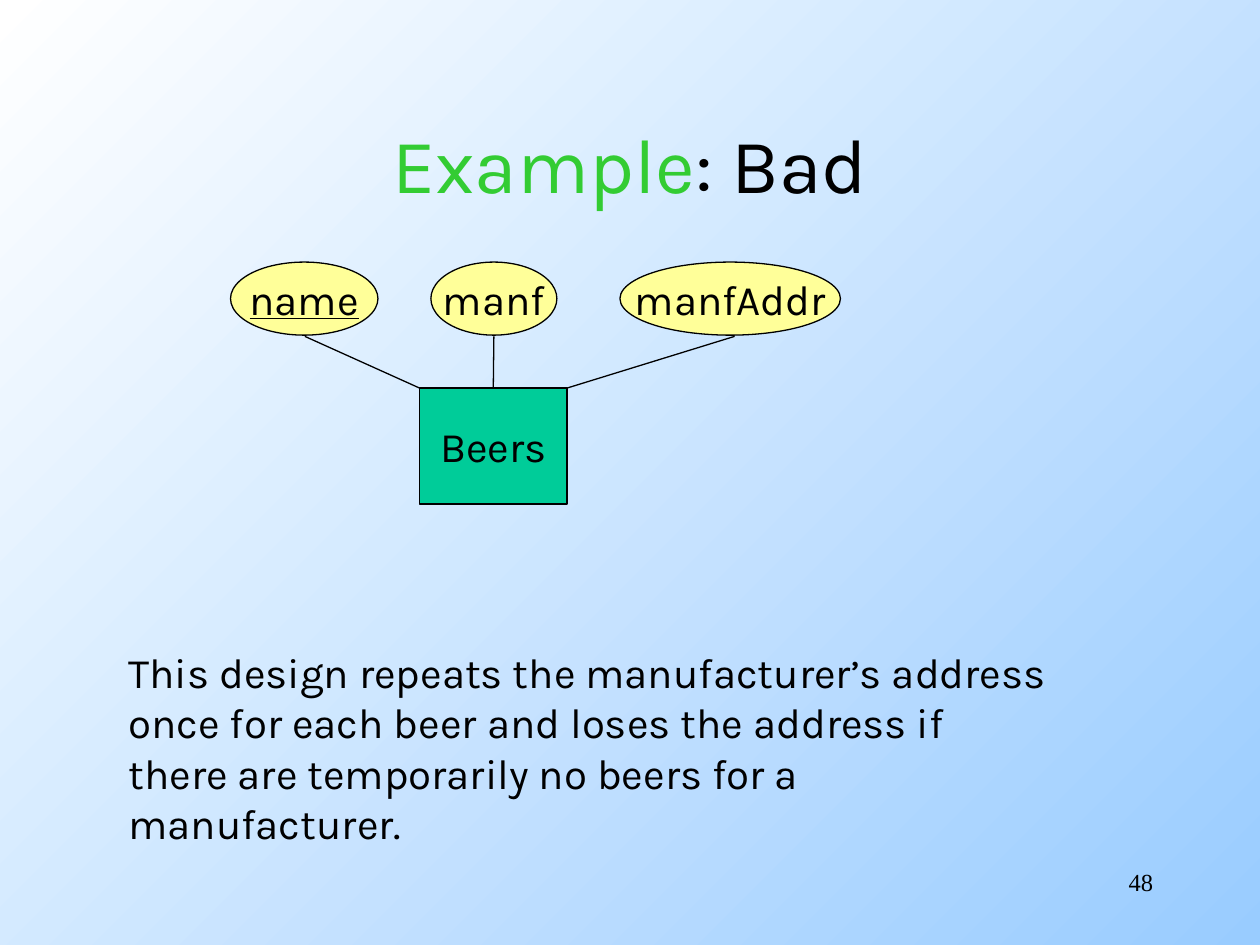
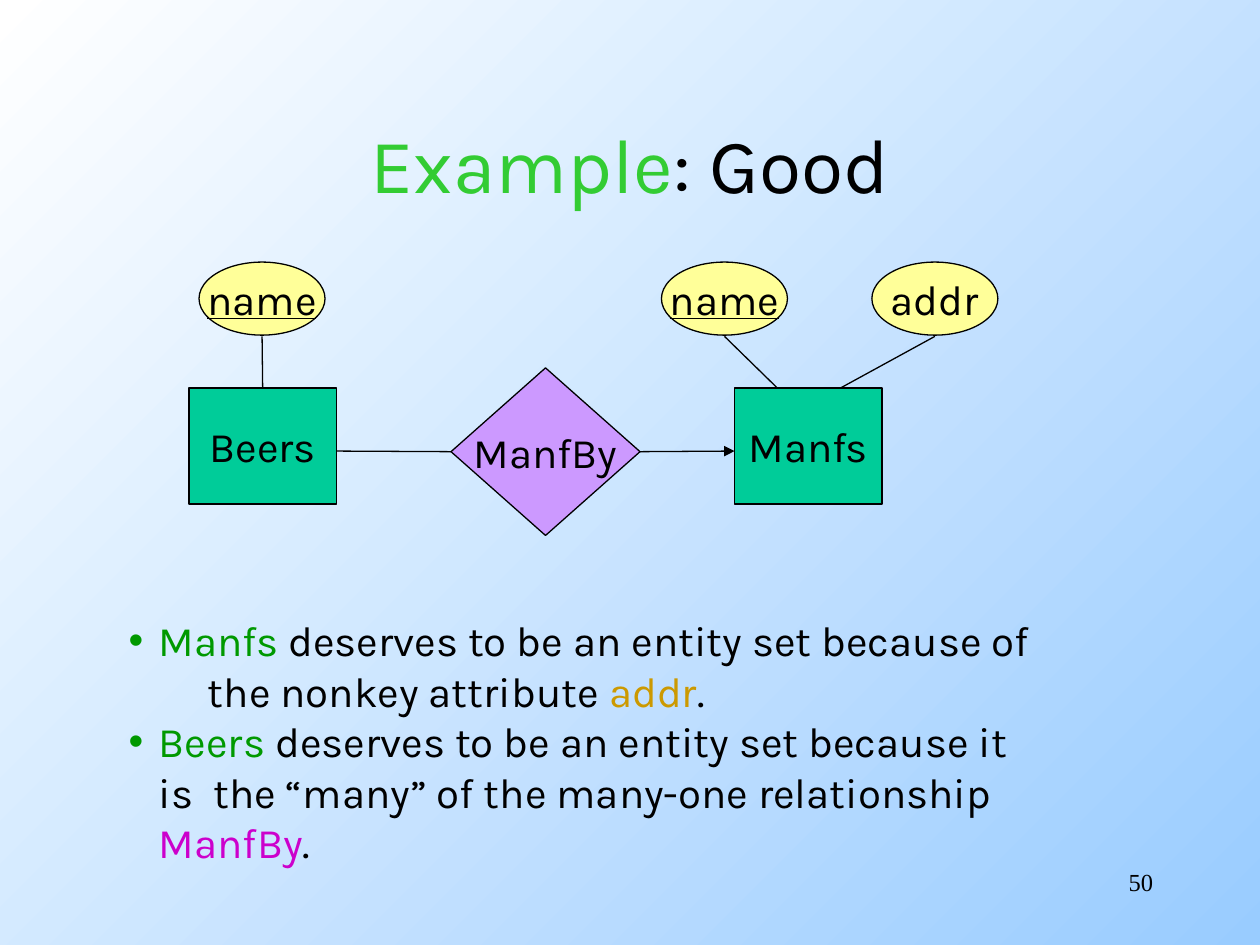
from lxml import etree
from pptx import Presentation
from pptx.dml.color import RGBColor
from pptx.enum.shapes import MSO_CONNECTOR, MSO_SHAPE
from pptx.enum.text import MSO_ANCHOR, MSO_AUTO_SIZE, PP_ALIGN
from pptx.oxml.ns import qn
from pptx.util import Inches, Pt

RECTANGLE = MSO_SHAPE.RECTANGLE
ELLIPSE = MSO_SHAPE.OVAL
DIAMOND = MSO_SHAPE.DIAMOND
STRAIGHT = MSO_CONNECTOR.STRAIGHT
MIDDLE = MSO_ANCHOR.MIDDLE
TOP_ANCHOR = MSO_ANCHOR.TOP
NO_AUTO_SIZE = MSO_AUTO_SIZE.NONE
CENTER, LEFT, RIGHT = PP_ALIGN.CENTER, PP_ALIGN.LEFT, PP_ALIGN.RIGHT

BLACK = RGBColor(0x00, 0x00, 0x00)
WHITE = RGBColor(0xFF, 0xFF, 0xFF)
SKY = RGBColor(0x99, 0xCC, 0xFF)
TITLE_GREEN = RGBColor(0x33, 0xCC, 0x33)
ENTITY_GREEN = RGBColor(0x00, 0xCC, 0x99)
ATTRIBUTE_YELLOW = RGBColor(0xFF, 0xFF, 0x99)
RELATIONSHIP_PURPLE = RGBColor(0xCC, 0x99, 0xFF)
ENTITY_WORD = RGBColor(0x00, 0x99, 0x00)
ATTRIBUTE_WORD = RGBColor(0xCC, 0x99, 0x00)
RELATIONSHIP_WORD = RGBColor(0xCC, 0x00, 0xCC)

FONT = "Karla"
NUMBER_FONT = "Times New Roman"
TITLE_AND_CONTENT, TITLE_ONLY = 1, 5
TOP_SIDE, LEFT_SIDE, RIGHT_SIDE = 0, 1, 3

ATTRIBUTE_TOP, ATTRIBUTE_HEIGHT, ATTRIBUTE_BOTTOM = 2.08, 0.58, 2.67
ENTITY_TOP, ENTITY_WIDTH, ENTITY_HEIGHT = 3.08, 1.17, 0.92
RELATIONSHIP_Y = 3.58
TEXT_LEFT, TEXT_WIDTH = 0.92, 7.52
BULLET_INDENT, CONTINUATION_TAB = 0.24, 0.63


def box(*lengths):
    return [Inches(length) for length in lengths]


class Deck:
    def __init__(self):
        self.presentation = Presentation()
        self.presentation.slide_width = Inches(10)
        self.presentation.slide_height = Inches(7.5)
        self.slide = None
        fill = self.presentation.slide_master.background.fill
        fill.gradient()
        fill.gradient_angle = 315
        for stop, color in zip(fill.gradient_stops, (WHITE, SKY)):
            stop.color.rgb = color

    def start_slide(self, layout, verdict, number):
        layouts = self.presentation.slide_layouts
        self.slide = self.presentation.slides.add_slide(layouts[layout])
        self.text(str(number), (7.17, 6.83, 2.08, 0.5), NUMBER_FONT, 14, RIGHT)
        title = self.slide.shapes.title
        self.place(title, 0.75, 0.67, 8.5, 1.25)
        title.text_frame.vertical_anchor = MIDDLE
        title.text_frame.auto_size = NO_AUTO_SIZE
        paragraph = title.text_frame.paragraphs[0]
        paragraph.alignment = CENTER
        self.style(paragraph, size=44)
        self.runs(paragraph, [("Example", TITLE_GREEN), (f": {verdict}", BLACK)])

    def place(self, shape, *lengths):
        shape.left, shape.top, shape.width, shape.height = box(*lengths)

    def style(self, paragraph, name=FONT, size=24, color=None):
        paragraph.font.name = name
        paragraph.font.size = Pt(size)
        if color is not None:
            paragraph.font.color.rgb = color

    def runs(self, paragraph, pieces):
        for text, color in pieces:
            for index, part in enumerate(text.split("\n")):
                if index:
                    paragraph.add_line_break()
                run = paragraph.add_run()
                run.text = part
                run.font.color.rgb = color

    def text(self, text, place, name=FONT, size=24, alignment=LEFT):
        frame = self.slide.shapes.add_textbox(*box(*place)).text_frame
        frame.word_wrap = True
        paragraph = frame.paragraphs[0]
        paragraph.text = text
        paragraph.alignment = alignment
        self.style(paragraph, name, size, BLACK)

    def bullets(self, items, *place):
        body = self.slide.placeholders[1]
        self.place(body, *place)
        frame = body.text_frame
        frame.auto_size = NO_AUTO_SIZE
        frame.vertical_anchor = TOP_ANCHOR
        for index, pieces in enumerate(items):
            paragraph = frame.add_paragraph() if index else frame.paragraphs[0]
            paragraph.space_before = Pt(0)
            properties = paragraph._p.get_or_add_pPr()
            properties.set("marL", str(Inches(BULLET_INDENT)))
            properties.set("indent", str(-Inches(BULLET_INDENT)))
            bullet_color = etree.SubElement(properties, qn("a:buClr"))
            etree.SubElement(bullet_color, qn("a:srgbClr"), val=str(pieces[0][1]))
            etree.SubElement(properties, qn("a:buChar"), char="•")
            tabs = etree.SubElement(properties, qn("a:tabLst"))
            etree.SubElement(tabs, qn("a:tab"), pos=str(Inches(CONTINUATION_TAB)), algn="l")
            self.style(paragraph)
            self.runs(paragraph, pieces)

    def node(self, kind, label, fill, *place, underline=False):
        shape = self.slide.shapes.add_shape(kind, *box(*place))
        shape.shadow.inherit = False
        shape.fill.solid()
        shape.fill.fore_color.rgb = fill
        shape.line.color.rgb = BLACK
        shape.line.width = Pt(0.75)
        frame = shape.text_frame
        frame.word_wrap = False
        frame.vertical_anchor = MIDDLE
        paragraph = frame.paragraphs[0]
        paragraph.text = label
        paragraph.alignment = CENTER
        self.style(paragraph, color=BLACK)
        if underline:
            paragraph.font.underline = True
        return shape

    def entity(self, label, left):
        return self.node(RECTANGLE, label, ENTITY_GREEN,
                         left, ENTITY_TOP, ENTITY_WIDTH, ENTITY_HEIGHT)

    def attribute(self, label, left, width=1, key=False):
        return self.node(ELLIPSE, label, ATTRIBUTE_YELLOW,
                         left, ATTRIBUTE_TOP, width, ATTRIBUTE_HEIGHT, underline=key)

    def line(self, *ends, begin=None, end=None, arrow=False):
        connector = self.slide.shapes.add_connector(STRAIGHT, *box(*ends))
        if begin:
            connector.begin_connect(*begin)
        if end:
            connector.end_connect(*end)
        connector.line.color.rgb = BLACK
        connector.line.width = Pt(0.75)
        properties = connector.element.spPr
        if arrow:
            etree.SubElement(properties.find(qn("a:ln")), qn("a:tailEnd"), type="triangle")
        etree.SubElement(properties, qn("a:effectLst"))

    def attribute_line(self, attribute_x, entity_x, end=None):
        self.line(attribute_x, ATTRIBUTE_BOTTOM, entity_x, ENTITY_TOP, end=end)


def build_bad_design(deck):
    deck.start_slide(TITLE_ONLY, "Bad", 48)
    beers = deck.entity("Beers", 3.33)
    deck.attribute("name", 1.83, 1.17, key=True)
    deck.attribute("manf", 3.42)
    deck.attribute("manfAddr", 4.92, 1.75)
    deck.attribute_line(2.42, 3.33)
    deck.attribute_line(3.92, 3.92, end=(beers, TOP_SIDE))
    deck.attribute_line(5.83, 4.5)
    deck.text("This design repeats the manufacturer’s address once for each beer "
              "and loses the address if there are temporarily no beers for a "
              "manufacturer.", (TEXT_LEFT, 5.08, TEXT_WIDTH, 1.7))


def build_good_design(deck):
    deck.start_slide(TITLE_AND_CONTENT, "Good", 50)
    beers = deck.entity("Beers", 1.5)
    deck.entity("Manfs", 5.83)
    manufactured_by = deck.node(DIAMOND, "ManfBy", RELATIONSHIP_PURPLE, 3.58, 2.92, 1.5, 1.33)
    deck.attribute("name", 1.58, key=True)
    deck.attribute("name", 5.25, key=True)
    deck.attribute("addr", 6.92)
    deck.attribute_line(2.08, 2.08, end=(beers, TOP_SIDE))
    deck.attribute_line(5.75, 6.17)
    deck.attribute_line(7.42, 6.67)
    deck.line(3.58, RELATIONSHIP_Y, 2.67, RELATIONSHIP_Y, begin=(manufactured_by, LEFT_SIDE))
    deck.line(5.08, RELATIONSHIP_Y, 5.83, RELATIONSHIP_Y,
              begin=(manufactured_by, RIGHT_SIDE), arrow=True)
    deck.bullets([
        [("Manfs", ENTITY_WORD),
         (" deserves to be an entity set because of\n\tthe nonkey attribute ", BLACK),
         ("addr", ATTRIBUTE_WORD), (".", BLACK)],
        [("Beers", ENTITY_WORD),
         (" deserves to be an entity set because it is  the “many” of the "
          "many-one relationship ", BLACK),
         ("ManfBy", RELATIONSHIP_WORD), (".", BLACK)],
    ], TEXT_LEFT, 4.83, TEXT_WIDTH, 2.1)


def main():
    deck = Deck()
    build_bad_design(deck)
    build_good_design(deck)
    deck.presentation.save("out.pptx")


if __name__ == "__main__":
    main()
